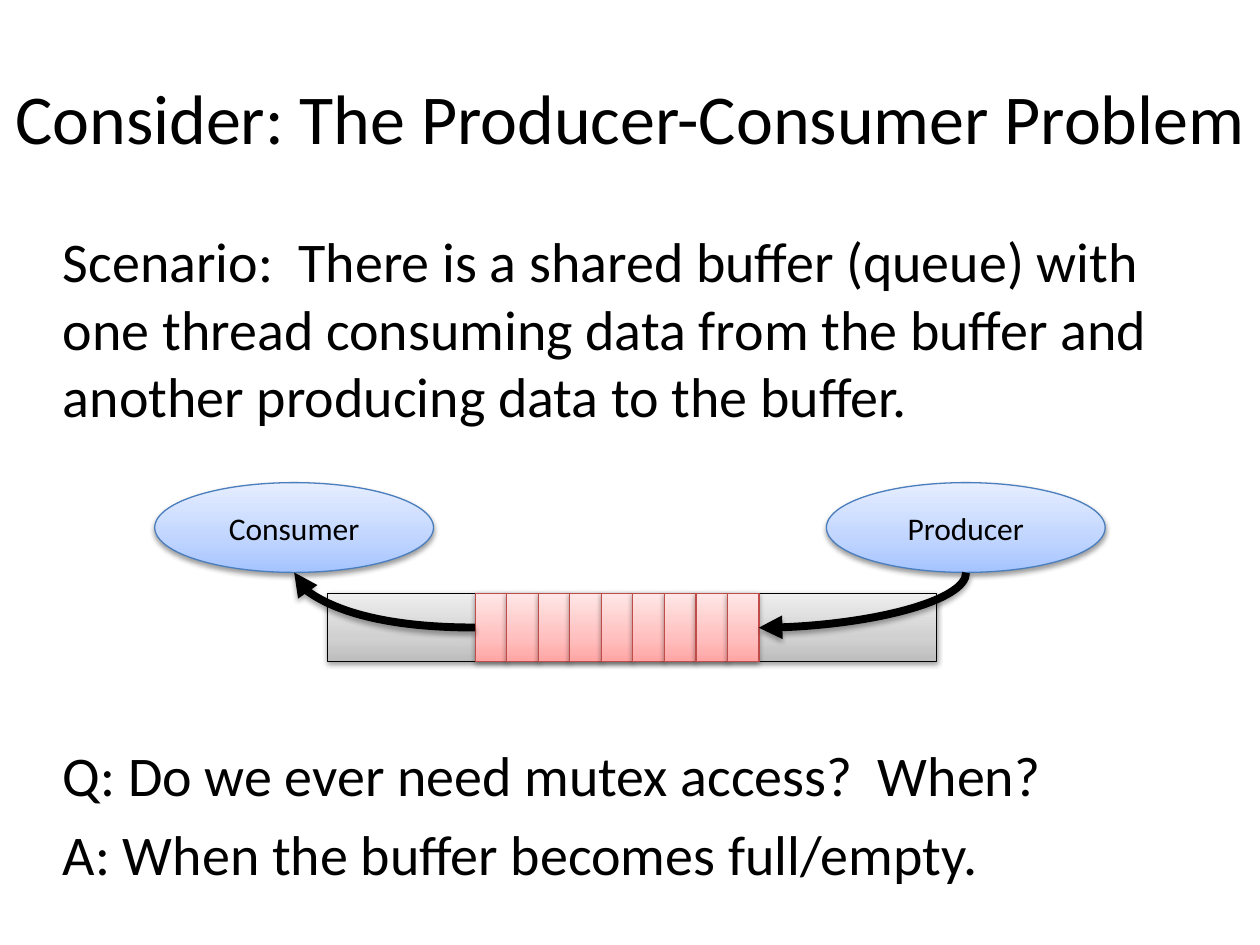
import copy

import lxml.etree
import pptx
import pptx.dml.color
import pptx.enum.shapes
import pptx.enum.text
import pptx.oxml.ns
import pptx.util

Cm = pptx.util.Cm
Pt = pptx.util.Pt
qn = pptx.oxml.ns.qn
Shape = pptx.enum.shapes.MSO_SHAPE
Anchor = pptx.enum.text.MSO_ANCHOR
Align = pptx.enum.text.PP_ALIGN

GRAY = ("BDBDBD", "D1D1D1", "EEEEEE")
RED = ("FFA6A5", "FFC0BF", "FFE7E7")
BLUE = ("A4C4FF", "BFD4FF", "E6EEFF")


def rgb(value):
    return pptx.dml.color.RGBColor.from_string(value)


class SlideBuilder:
    font = "Calibri"
    ink = "000000"

    def __init__(self, s):
        self.s = s

    def set_text(self, tf, lines, size, align, anchor):
        tf.word_wrap = True
        tf.auto_size = pptx.enum.text.MSO_AUTO_SIZE.NONE
        tf.vertical_anchor = anchor
        for i, line in enumerate(lines):
            p = tf.paragraphs[0] if i == 0 else tf.add_paragraph()
            p.text = line
            p.alignment = align
            p.space_before = Pt(0.2 * size if i else 0)
            p.font.name = self.font
            p.font.size = Pt(size)
            p.font.color.rgb = rgb(self.ink)

    def title(self, text, x, y, w, h):
        sp = self.s.shapes.title
        sp.left, sp.top, sp.width, sp.height = Cm(x), Cm(y), Cm(w), Cm(h)
        sp.text_frame.margin_left = sp.text_frame.margin_right = 0
        self.set_text(sp.text_frame, [text], 40, Align.CENTER, Anchor.MIDDLE)

    def text(self, lines, x, y, w, h):
        tf = self.s.shapes.add_textbox(Cm(x), Cm(y), Cm(w), Cm(h)).text_frame
        tf.margin_left = tf.margin_right = 0
        self.set_text(tf, lines, 32, Align.LEFT, Anchor.TOP)

    def shadow(self, sp, distance, opacity):
        effects = lxml.etree.SubElement(sp._element.spPr, qn("a:effectLst"))
        outer = lxml.etree.SubElement(
            effects, qn("a:outerShdw"), blurRad=str(Pt(3.1)),
            dist=str(Pt(distance)), dir="5400000", rotWithShape="0")
        color = lxml.etree.SubElement(outer, qn("a:srgbClr"), val=self.ink)
        lxml.etree.SubElement(color, qn("a:alpha"), val=str(opacity * 1000))

    def shape(self, kind, x, y, w, h, colors, line, text=None):
        sp = self.s.shapes.add_shape(kind, Cm(x), Cm(y), Cm(w), Cm(h))
        sp.fill.gradient()
        sp.fill.gradient_angle = 90
        stops = sp._element.spPr.find(".//" + qn("a:gsLst"))
        stops.append(copy.deepcopy(stops[0]))
        for stop, position, color in zip(sp.fill.gradient_stops, (0, 0.35, 1), colors):
            stop.position = position
            stop.color.rgb = rgb(color)
        sp.line.color.rgb = rgb(line)
        sp.line.width = Pt(0.75)
        self.shadow(sp, 1.6, 38)
        if text:
            self.set_text(sp.text_frame, [text], 18, Align.CENTER, Anchor.MIDDLE)

    def arrow(self, x, y, w, h, rotation):
        cn = self.s.shapes.add_connector(
            pptx.enum.shapes.MSO_CONNECTOR.CURVE, Cm(x), Cm(y), Cm(x + w), Cm(y + h))
        props = cn._element.spPr
        props.find(qn("a:prstGeom")).set("prst", "curvedConnector2")
        props.find(qn("a:xfrm")).set("rot", str(rotation * 60000))
        cn.line.color.rgb = rgb(self.ink)
        cn.line.width = Pt(4.5)
        lxml.etree.SubElement(props.find(qn("a:ln")), qn("a:tailEnd"), type="triangle")
        self.shadow(cn, 1.8, 35)


def main():
    prs = pptx.Presentation()
    prs.slide_width, prs.slide_height = Cm(25.4), Cm(19.05)
    b = SlideBuilder(prs.slides.add_slide(prs.slide_layouts[5]))

    b.title("Consider: The Producer-Consumer Problem", 0, 0.76, 25.4, 3.18)
    b.text(["Scenario:  There is a shared buffer (queue) with one thread consuming "
            "data from the buffer and another producing data to the buffer."],
           1.27, 4.45, 22.86, 4.65)
    b.text(["Q: Do we ever need mutex access?  When?",
            "A: When the buffer becomes full/empty."], 1.27, 14.81, 22.86, 3.61)

    buffer_top, buffer_height = 11.96, 1.37
    queue_left, queue_right, items = 9.58, 15.3, 9
    item_width = (queue_right - queue_left) / items
    b.shape(Shape.RECTANGLE, 6.61, buffer_top, 12.27, buffer_height, GRAY, "000000")
    for i in range(items):
        b.shape(Shape.RECTANGLE, queue_left + i * item_width, buffer_top,
                item_width, buffer_height, RED, "BF4C48")

    for name, left in (("Consumer", 3.12), ("Producer", 16.66)):
        b.shape(Shape.OVAL, left, 9.73, 5.62, 1.81, BLUE, "4B7EBC", name)

    b.arrow(5.93, 11.54, 3.65, 1.11, 180)
    b.arrow(16.83, 10.01, 1.11, 4.18, 90)

    prs.save("out.pptx")


if __name__ == "__main__":
    main()
